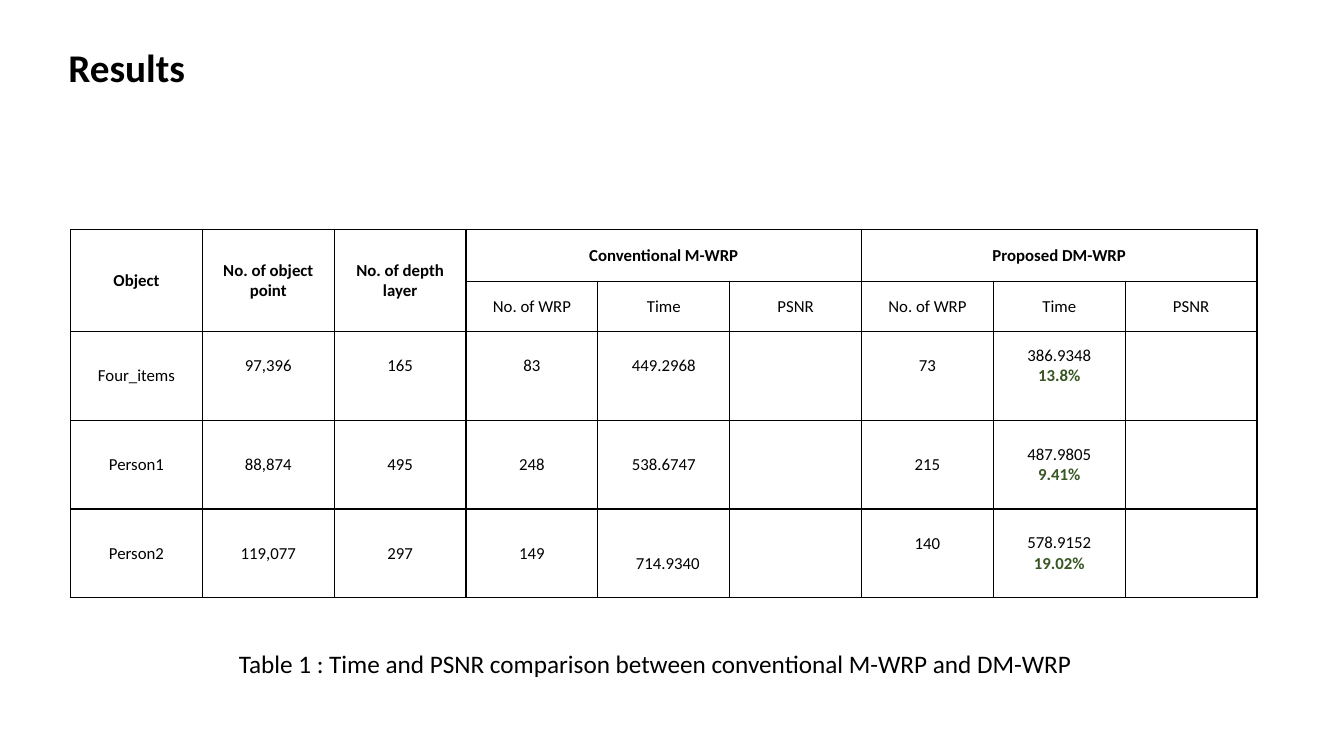
import pptx
import pptx.dml.color
import pptx.enum.text
import pptx.oxml
import pptx.oxml.ns
import pptx.util
from pptx.util import Inches

ANCHOR = pptx.enum.text.MSO_ANCHOR
ALIGN = pptx.enum.text.PP_ALIGN

# Colours and type sizes
THEME = {
    "font": "Calibri", "ink": "000000", "gain": "385723",
    "title": 28, "label": 18, "cell": 12, "line": 1,
}

# Table content
HEADS = ["Object", "No. of object point", "No. of depth layer"]
GROUPS = ["Conventional M-WRP", "Proposed DM-WRP"]
PARTS = ["No. of WRP", "Time", "PSNR"]
ROWS = [
    ["Four_items", "97,396", "165", "83", "449.2968", "",
     "73", "386.9348\n13.8%", ""],
    ["Person1", "88,874", "495", "248", "538.6747", "",
     "215", "487.9805\n9.41%", ""],
    ["Person2", "119,077", "297", "149", "714.9340", "",
     "140", "578.9152\n19.02%", ""],
]
HEIGHTS = [0.51, 0.5, 0.88, 0.88, 0.88]
WIDTH = 11.77

# Cells whose text sits off centre
RAISED = {"margin_bottom": Inches(0.25)}
NUDGES = {(2, col): RAISED for col in (1, 2, 3, 4, 6, 7)}
NUDGES[4, 6] = RAISED
NUDGES[4, 4] = {"margin_top": Inches(0.25), "margin_left": Inches(0.18)}


def assign(item, values):
    for name, value in values.items():
        setattr(item, name, value)


def write(para, text, size, bold=False, ink="ink"):
    run = para.add_run()
    run.text = text
    assign(run.font, {"name": THEME["font"], "bold": bold,
                      "size": pptx.util.Pt(THEME[size])})
    run.font.color.rgb = pptx.dml.color.RGBColor.from_string(THEME[ink])


def add_label(slide, box, text, size, bold=False):
    frame = slide.shapes.add_textbox(*map(Inches, box)).text_frame
    assign(frame, {"word_wrap": False,
                   "auto_size": pptx.enum.text.MSO_AUTO_SIZE.SHAPE_TO_FIT_TEXT})
    write(frame.paragraphs[0], text, size, bold)


def add_border(cell):
    props = cell._tc.get_or_add_tcPr()
    space = pptx.oxml.ns.nsdecls("a")
    width = pptx.util.Pt(THEME["line"])
    for side in "LRTB":
        props.append(pptx.oxml.parse_xml(
            f'<a:ln{side} {space} w="{width}"><a:solidFill>'
            f'<a:srgbClr val="{THEME["ink"]}"/></a:solidFill></a:ln{side}>'))


def fill_cell(cell, text, bold=False):
    cell.vertical_anchor = ANCHOR.MIDDLE
    frame = cell.text_frame
    for idx, line in enumerate(text.split("\n")):
        para = frame.add_paragraph() if idx else frame.paragraphs[0]
        para.alignment = ALIGN.CENTER
        if line:
            write(para, line, "cell", bold or idx > 0, "gain" if idx else "ink")


def add_grid(slide):
    count = len(ROWS[0])
    table = slide.shapes.add_table(
        len(HEIGHTS), count, Inches(0.7), Inches(2.28),
        Inches(WIDTH), Inches(sum(HEIGHTS))).table
    assign(table, {"first_row": False, "horz_banding": False})
    for col in table.columns:
        col.width = Inches(WIDTH / count)
    for row, height in zip(table.rows, HEIGHTS):
        row.height = Inches(height)
    for cell in table.iter_cells():
        add_border(cell)
        cell.fill.background()

    # Two header rows
    for col, head in enumerate(HEADS):
        table.cell(0, col).merge(table.cell(1, col))
        fill_cell(table.cell(0, col), head, True)
    for idx, group in enumerate(GROUPS):
        start = len(HEADS) + idx * len(PARTS)
        table.cell(0, start).merge(table.cell(0, start + len(PARTS) - 1))
        fill_cell(table.cell(0, start), group, True)
        for step, part in enumerate(PARTS):
            fill_cell(table.cell(1, start + step), part)

    # Measured values
    for row, values in enumerate(ROWS, 2):
        for col, text in enumerate(values):
            cell = table.cell(row, col)
            fill_cell(cell, text)
            assign(cell, NUDGES.get((row, col), {}))


def main():
    deck = pptx.Presentation()
    assign(deck, {"slide_width": Inches(13.33), "slide_height": Inches(7.5)})
    slide = deck.slides.add_slide(deck.slide_layouts[6])
    add_label(slide, (2.27, 6.38, 8.62, 0.4),
              "Table 1 : Time and PSNR comparison between "
              "conventional M-WRP and DM-WRP", "label")
    add_grid(slide)
    add_label(slide, (0.58, 0.38, 1.37, 0.57), "Results", "title", True)
    deck.save("out.pptx")


if __name__ == "__main__":
    main()
